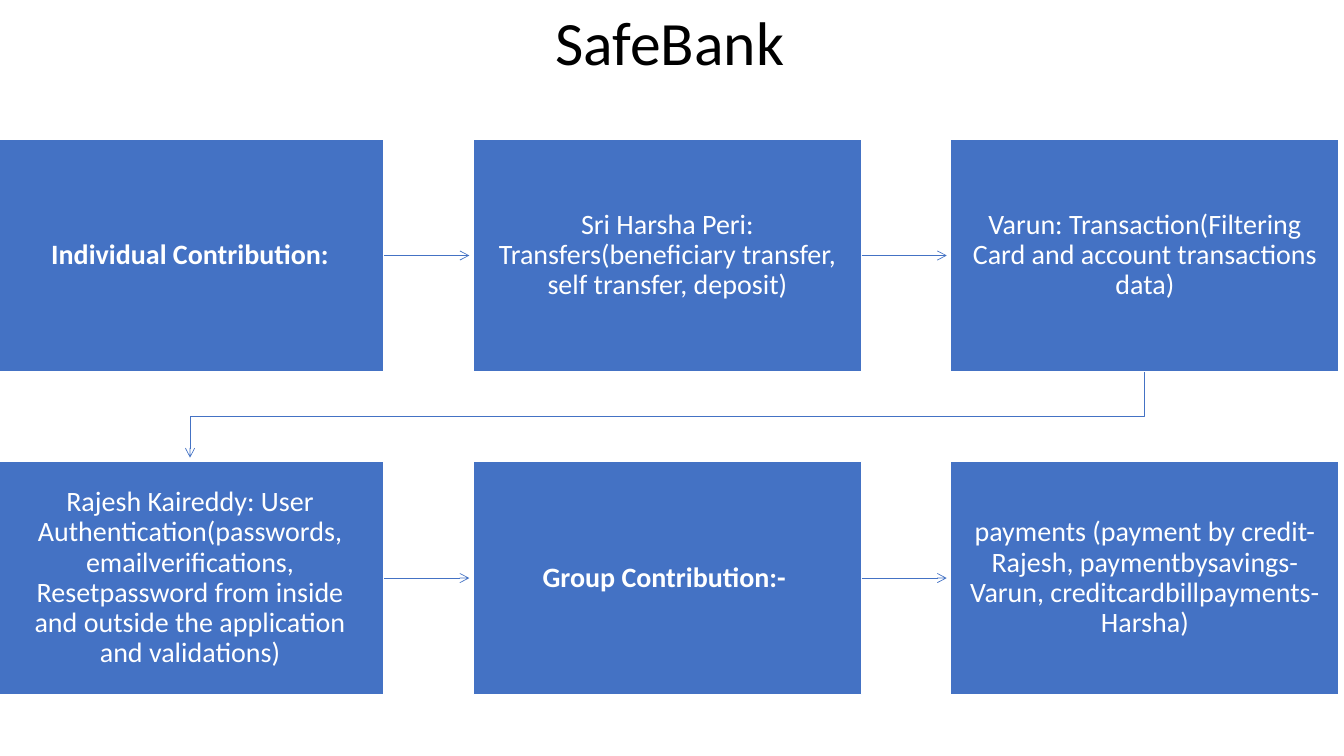
from lxml.etree import SubElement
from pptx import Presentation
from pptx.dml.color import RGBColor
from pptx.enum.shapes import MSO_CONNECTOR, MSO_SHAPE
from pptx.enum.text import MSO_ANCHOR, PP_ALIGN
from pptx.oxml.ns import qn
from pptx.util import Inches, Pt

BLUE = RGBColor(0x44, 0x72, 0xC4)
WHITE = RGBColor(0xFF, 0xFF, 0xFF)
BLACK = RGBColor(0x00, 0x00, 0x00)

LEFT, TOP = -0.04, 1.38
WIDTH, HEIGHT = 3.85, 2.31
RIGHT = 9.43
COLUMNS = 3
STEP_X, STEP_Y = (RIGHT - LEFT) / (COLUMNS - 1), 3.2
GAP = 0.04

STEPS = [
    ("Individual Contribution:", True),
    ("Sri Harsha Peri: Transfers(beneficiary transfer, self transfer, deposit)", False),
    ("Varun: Transaction(Filtering Card and account transactions data)", False),
    ("Rajesh Kaireddy: User Authentication(passwords, emailverifications, "
     "Resetpassword from inside and outside the application and validations)", False),
    ("Group Contribution:- ", True),
    ("payments (payment by credit-Rajesh, paymentbysavings-Varun, "
     "creditcardbillpayments-Harsha)", False),
]


class Board:
    """Draws the elements of a flow slide in one style."""

    def __init__(self, slide, font="Calibri"):
        self.shapes = slide.shapes
        self.font = font

    def label(self, frame, text, size, color, bold=False):
        frame.word_wrap = True
        frame.vertical_anchor = MSO_ANCHOR.MIDDLE
        line = frame.paragraphs[0]
        line.text = text
        line.alignment = PP_ALIGN.CENTER
        line.line_spacing = 0.9
        line.font.name = self.font
        line.font.size = Pt(size)
        line.font.bold = bold
        line.font.color.rgb = color

    def title(self, text):
        box = self.shapes.add_textbox(0, 0, Inches(13.29), Inches(0.9))
        self.label(box.text_frame, text, 44, BLACK)

    def box(self, x, y, text, bold):
        box = self.shapes.add_shape(
            MSO_SHAPE.RECTANGLE, Inches(x), Inches(y), Inches(WIDTH), Inches(HEIGHT))
        box.shadow.inherit = False
        box.fill.solid()
        box.fill.fore_color.rgb = BLUE
        box.line.color.rgb = WHITE
        box.line.width = Pt(1)
        frame = box.text_frame
        frame.margin_left = frame.margin_right = Inches(0.19)
        frame.margin_top = frame.margin_bottom = Inches(0.2)
        self.label(frame, text, 20, WHITE, bold)
        return box

    def point(self, shape):
        shape.line.color.rgb = BLUE
        shape.line.width = Pt(0.5)
        SubElement(shape.line._get_or_add_ln(), qn("a:tailEnd"), type="arrow")

    def arrow(self, start, end):
        y = start.top + start.height // 2
        link = self.shapes.add_connector(
            MSO_CONNECTOR.STRAIGHT, start.left + start.width, y,
            end.left - Inches(GAP), y)
        link.begin_connect(start, 3)
        self.point(link)
        SubElement(link._element.spPr, qn("a:effectLst"))

    def turn(self, start, end):
        x1 = start.left + start.width // 2
        x2 = end.left + end.width // 2
        y1 = start.top + start.height
        y2 = end.top - Inches(GAP)
        bend = (y1 + end.top) // 2
        form = self.shapes.build_freeform(x1, y1)
        form.add_line_segments([(x1, bend), (x2, bend), (x2, y2)], close=False)
        link = form.convert_to_shape()
        link.fill.background()
        link.shadow.inherit = False
        self.point(link)


def main():
    deck = Presentation()
    deck.slide_width = Inches(13.33)
    deck.slide_height = Inches(7.5)
    board = Board(deck.slides.add_slide(deck.slide_layouts[6]))
    board.title("SafeBank")
    boxes = []
    for i, (text, bold) in enumerate(STEPS):
        row, column = divmod(i, COLUMNS)
        boxes.append(board.box(LEFT + column * STEP_X, TOP + row * STEP_Y, text, bold))
    for start, end in zip(boxes, boxes[1:]):
        link = board.arrow if start.top == end.top else board.turn
        link(start, end)
    deck.save("out.pptx")


if __name__ == "__main__":
    main()
